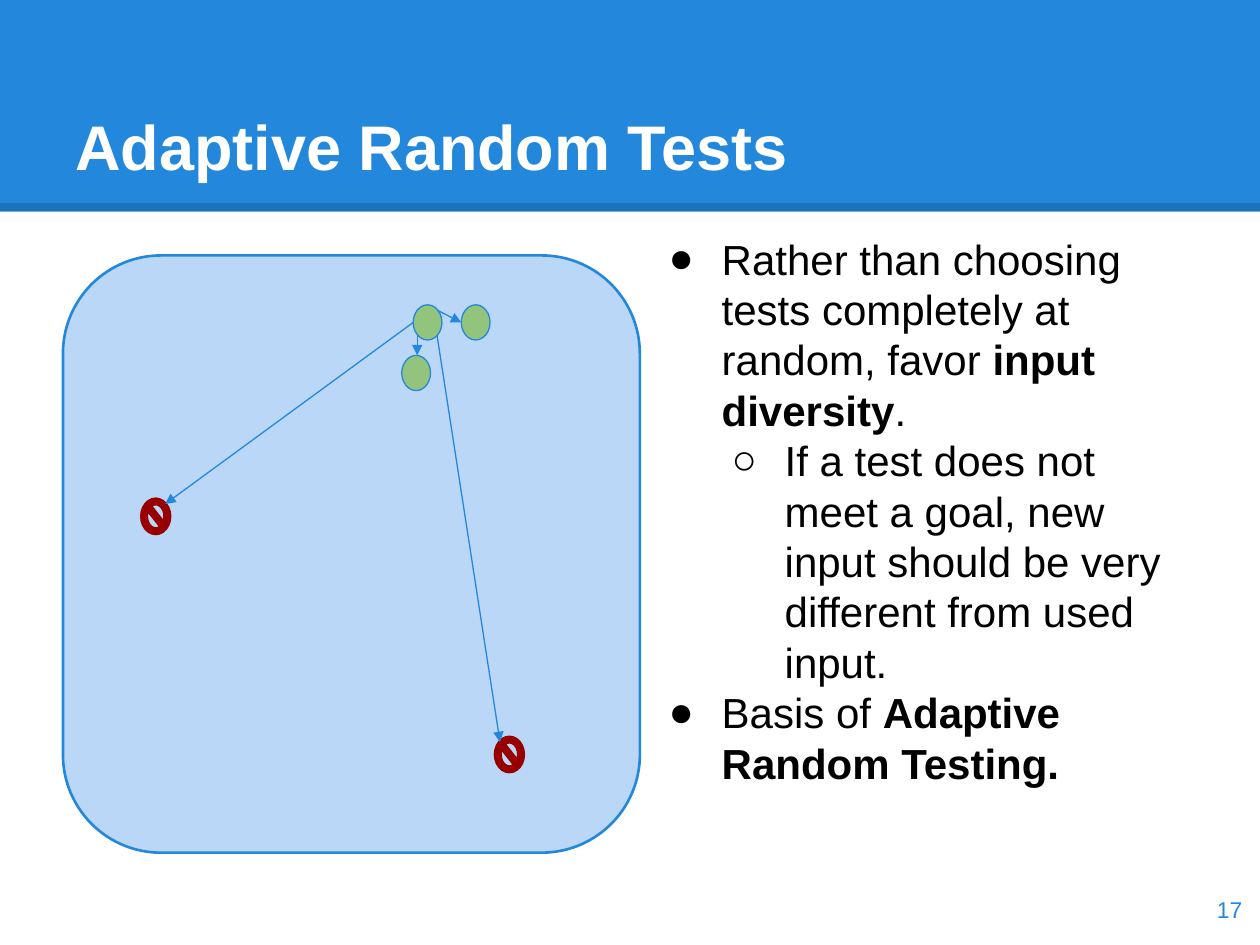
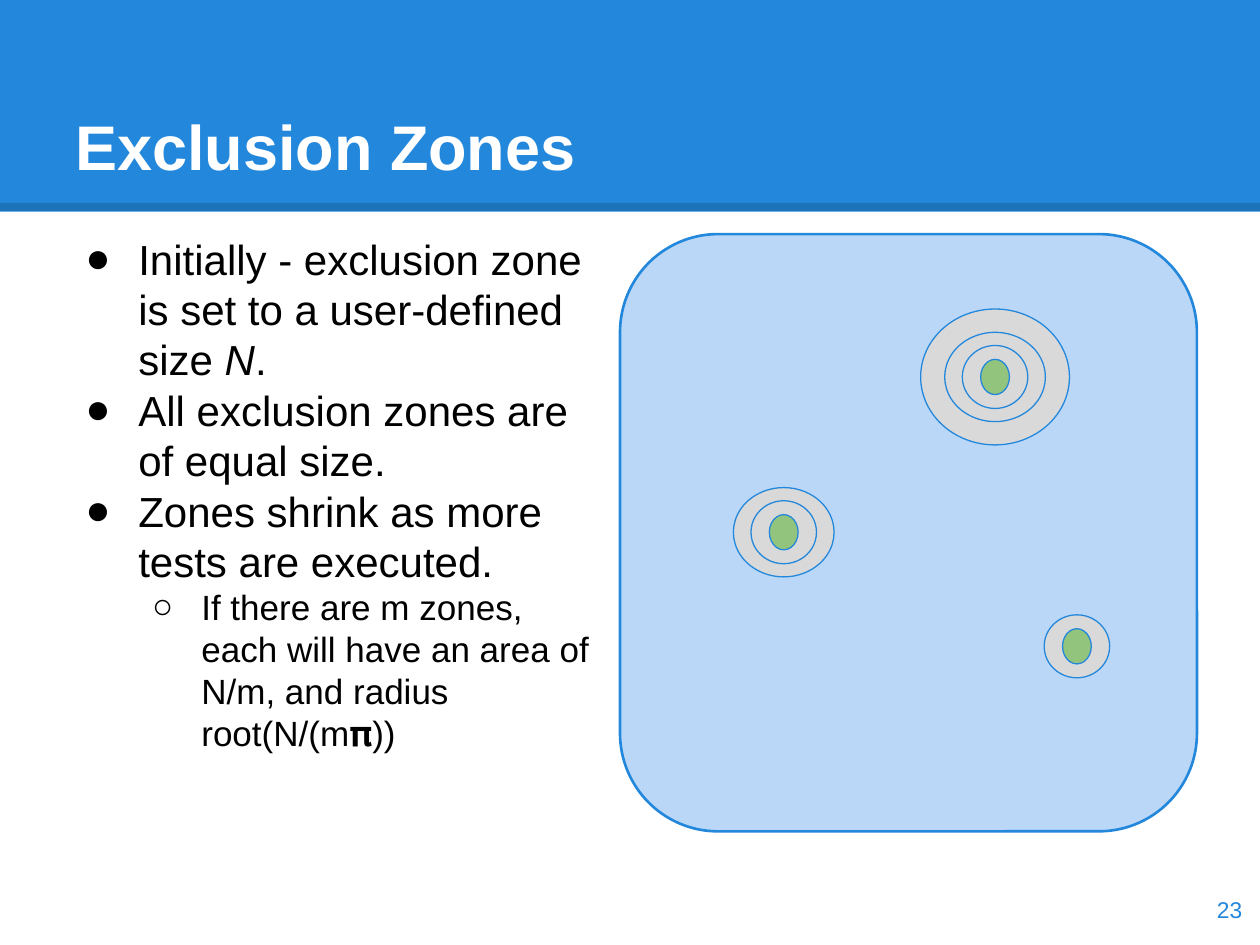
from lxml import etree
from pptx import Presentation
from pptx.dml.color import RGBColor
from pptx.enum import shapes, text
from pptx.oxml import ns
from pptx.util import Cm, Pt

BLUE = RGBColor(0x23, 0x88, 0xDB)
PALE_BLUE = RGBColor(0xBB, 0xD7, 0xF8)
GREEN = RGBColor(0x93, 0xC4, 0x7D)
RED = RGBColor(0x98, 0x00, 0x00)
GREY = RGBColor(0xD9, 0xD9, 0xD9)
WHITE = RGBColor(0xFF, 0xFF, 0xFF)
BLACK = RGBColor(0, 0, 0)

FONT = "Arial"
SLIDE_WIDTH, SLIDE_HEIGHT = 25.4, 19.05
BAND_HEIGHT, BAND_EDGE = 4.27, 4.17
PANEL_SIZE = (11.63, 12.04)
TEST_SIZE = (0.58, 0.71)
ZONE_SIZES = [(1.32, 1.27), (2.03, 1.8), (3, 2.74)]
BULLETS = [("●", 1.27), ("○", 2.54)]


def add_xml(parent, tag, **attributes):
    return etree.SubElement(parent, ns.qn(tag), **attributes)


def add_figure(page, kind, left, top, size, fill, line=BLUE, weight=0.75):
    figure = page.shapes.add_shape(kind, Cm(left), Cm(top), *map(Cm, size))
    figure.shadow.inherit = False
    figure.fill.solid()
    figure.fill.fore_color.rgb = fill
    if line is None:
        figure.line.fill.background()
    else:
        figure.line.color.rgb = line
        figure.line.width = Pt(weight)
    return figure


def add_centred(page, kind, centre, size, fill, **style):
    left, top = (middle - length / 2 for middle, length in zip(centre, size))
    return add_figure(page, kind, left, top, size, fill, **style)


def add_test(page, centre):
    add_centred(page, shapes.MSO_SHAPE.OVAL, centre, TEST_SIZE, GREEN)


def add_goal(page, centre):
    sign = add_centred(page, shapes.MSO_SHAPE.NO_SYMBOL, centre, TEST_SIZE, RED,
                       line=RED, weight=1.5)
    sign.adjustments[0] = 0.19


def add_zones(page, centre, count):
    """Draw nested exclusion zones, the widest first, around one test."""
    for size in reversed(ZONE_SIZES[:count]):
        add_centred(page, shapes.MSO_SHAPE.OVAL, centre, size, GREY)
    add_test(page, centre)


def add_input_space(page, left, top):
    panel = add_figure(page, shapes.MSO_SHAPE.ROUNDED_RECTANGLE, left, top,
                       PANEL_SIZE, PALE_BLUE, weight=1.5)
    panel.adjustments[0] = 0.17


def add_line(page, start, end, colour, weight):
    line = page.shapes.add_connector(shapes.MSO_CONNECTOR.STRAIGHT,
                                     *map(Cm, (*start, *end)))
    line.line.color.rgb = colour
    line.line.width = Pt(weight)
    add_xml(line._element.spPr, "a:effectLst")
    return line


def add_arrow(page, start, end):
    arrow = add_line(page, start, end, BLUE, 0.75)
    add_xml(arrow.line._get_or_add_ln(), "a:tailEnd", type="triangle")


def add_box(page, left, top, width, height, anchor=text.MSO_ANCHOR.TOP):
    frame = page.shapes.add_textbox(*map(Cm, (left, top, width, height))).text_frame
    frame.word_wrap = True
    frame.vertical_anchor = anchor
    frame.margin_left = frame.margin_right = Cm(0.25)
    frame.margin_top = frame.margin_bottom = Cm(0.25)
    return frame


def add_span(para, words, size, colour=BLACK, bold=False, italic=False):
    span = para.add_run()
    span.text = words
    font = span.font
    font.name, font.size = FONT, Pt(size)
    font.bold, font.italic = bold, italic
    font.color.rgb = colour


def set_bullet(para, level, hang):
    symbol, indent = BULLETS[level]
    properties = para._p.get_or_add_pPr()
    properties.set("marL", str(Cm(indent)))
    properties.set("indent", str(-Cm(hang)))
    colour = add_xml(properties, "a:buClr")
    add_xml(colour, "a:srgbClr", val=str(BLACK))
    add_xml(properties, "a:buFont", typeface=FONT)
    add_xml(properties, "a:buChar", char=symbol)


def add_bullets(page, left, items):
    """Each item is (level, size, spans); a span is (words, style)."""
    frame = add_box(page, left, 4.45, 11.1, 13.79)
    for index, (level, size, spans) in enumerate(items):
        para = frame.add_paragraph() if index else frame.paragraphs[0]
        para.level = level
        set_bullet(para, level, 1.07 if size == 24 else 0.99)
        para.line_spacing = Pt(1.2 * size)
        for words, style in spans:
            add_span(para, words, size, **style)


def add_page(deck, title, number):
    """Start a slide with the title band and the page number."""
    page = deck.slides.add_slide(deck.slide_layouts[6])
    add_figure(page, shapes.MSO_SHAPE.RECTANGLE, 0, 0,
               (SLIDE_WIDTH, BAND_HEIGHT), BLUE, line=None)
    edge = add_line(page, (0, BAND_EDGE), (SLIDE_WIDTH, BAND_EDGE), BLACK, 4.5)
    tint = edge._element.spPr.find(".//" + ns.qn("a:srgbClr"))
    add_xml(tint, "a:alpha", val="15000")

    heading = add_box(page, 1.27, 0.76, 22.86, 3.18, text.MSO_ANCHOR.BOTTOM)
    add_span(heading.paragraphs[0], title, 36, WHITE, bold=True)

    footer = add_box(page, 23.77, 17.6, 1.52, 1.45, text.MSO_ANCHOR.MIDDLE)
    footer.paragraphs[0].alignment = text.PP_ALIGN.RIGHT
    add_span(footer.paragraphs[0], str(number), 13, BLUE)
    return page


def add_adaptive_tests(deck):
    page = add_page(deck, "Adaptive Random Tests", 17)
    add_input_space(page, 1.27, 5.15)
    for centre in [(3.14, 10.41), (10.27, 15.21)]:
        add_goal(page, centre)
    for centre in [(8.62, 6.5), (8.39, 7.52), (9.59, 6.5)]:
        add_test(page, centre)
    for start, end in [((8.33, 6.5), (3.33, 10.16)),
                       ((8.41, 6.76), (8.41, 7.16)),
                       ((8.81, 6.76), (10.08, 14.96)),
                       ((8.81, 6.25), (9.3, 6.5))]:
        add_arrow(page, start, end)
    add_bullets(page, 13.03, [
        (0, 24, [("Rather than choosing tests completely at random, favor ", {}),
                 ("input diversity", {"bold": True}), (".", {})]),
        (1, 24, [("If a test does not meet a goal, new input should be very "
                  "different from used input.", {})]),
        (0, 24, [("Basis of ", {}),
                 ("Adaptive Random Testing.", {"bold": True})]),
    ])


def add_exclusion_zones(deck):
    page = add_page(deck, "Exclusion Zones", 23)
    add_bullets(page, 1.27, [
        (0, 24, [("Initially - exclusion zone is set to a user-defined size ", {}),
                 ("N", {"italic": True}), (".", {})]),
        (0, 24, [("All exclusion zones are of equal size.", {})]),
        (0, 24, [("Zones shrink as more tests are executed.", {})]),
        (1, 20, [("If there are m zones, each will have an area of N/m, "
                  "and radius root(N/(m𝛑))", {})]),
    ])
    add_input_space(page, 12.5, 4.72)
    for centre, count in [((20.06, 7.6), 3), ((15.8, 10.73), 2), ((21.71, 13.03), 1)]:
        add_zones(page, centre, count)


def main():
    deck = Presentation()
    deck.slide_width, deck.slide_height = Cm(SLIDE_WIDTH), Cm(SLIDE_HEIGHT)
    add_adaptive_tests(deck)
    add_exclusion_zones(deck)
    deck.save("out.pptx")


if __name__ == "__main__":
    main()
